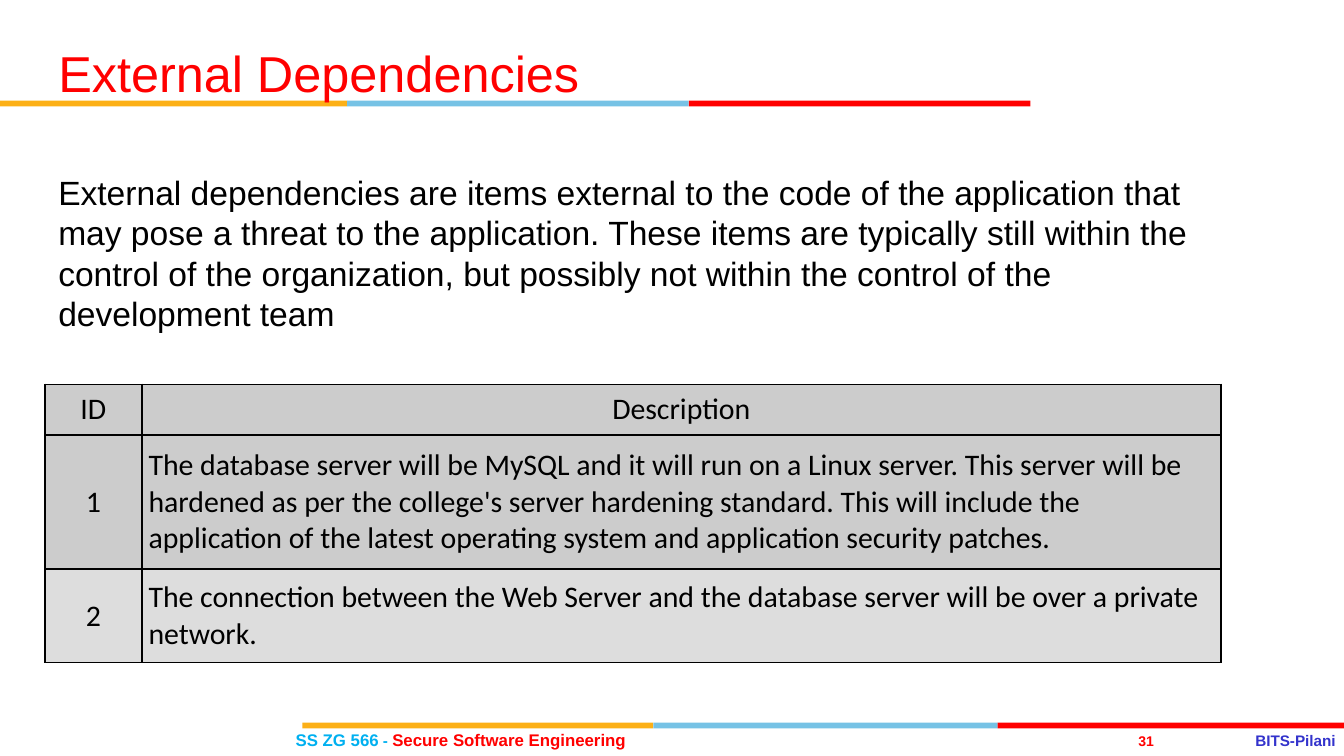
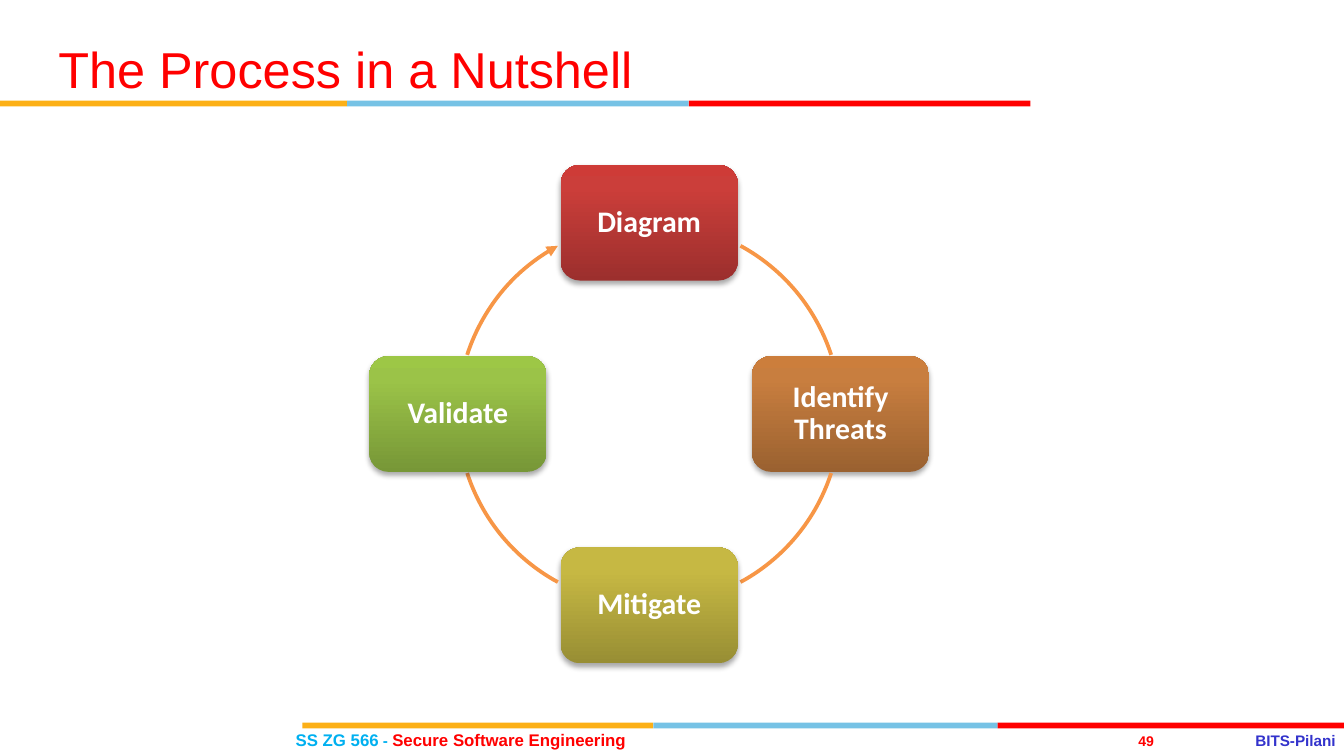
from copy import deepcopy

from lxml.etree import SubElement
from pptx import Presentation
from pptx.dml.color import RGBColor
from pptx.enum.shapes import MSO_SHAPE as SHAPE
from pptx.enum.text import MSO_ANCHOR as ANCHOR, MSO_AUTO_SIZE as AUTO, PP_ALIGN as ALIGN
from pptx.oxml.ns import qn
from pptx.util import Pt

GOLD, SKY, RED = "FCB017", "76C2E5", "FF0000"
BLACK, WHITE, ORANGE = "000000", "FFFFFF", "F79646"
HEADER_GREY, LIGHT_GREY = "CCCCCC", "DDDDDD"


# Shared helpers
def rgb(value):
    return RGBColor.from_string(value)


def pts(*values):
    return [Pt(v) for v in values]


def apply(target, values):
    for name, value in values.items():
        setattr(target, name, value)


def add_run(p, text, size, color, font="Arial", bold=False):
    r = p.add_run()
    r.text = text
    apply(r.font, {"size": Pt(size), "name": font, "bold": bold})
    r.font.color.rgb = rgb(color)


def format_frame(tf, anchor, margin_x=0, margin_y=0):
    apply(tf, {"word_wrap": True, "auto_size": AUTO.NONE, "vertical_anchor": anchor,
               "margin_left": Pt(margin_x), "margin_right": Pt(margin_x),
               "margin_top": Pt(margin_y), "margin_bottom": Pt(margin_y)})


def fill_placeholder(sp, box, text, size, color, anchor, spacing=None):
    left, top, width, height = pts(*box)
    apply(sp, {"left": left, "top": top, "width": width, "height": height})
    format_frame(sp.text_frame, anchor, 7.2, 3.6)
    p = sp.text_frame.paragraphs[0]
    pPr = p._p.get_or_add_pPr()
    pPr.set("marL", "0")
    pPr.set("indent", "0")
    SubElement(pPr, qn("a:buNone"))
    apply(p, {"alignment": ALIGN.LEFT, "space_before": Pt(0), "line_spacing": spacing})
    add_run(p, text, size, color)


# Frame common to all slides
def add_band(s, left, top, widths):
    band = s.shapes.add_group_shape()
    for width, color in zip(widths, (GOLD, SKY, RED)):
        sp = band.shapes.add_shape(SHAPE.RECTANGLE, *pts(left, top, width, 3))
        sp.shadow.inherit = False
        sp.fill.solid()
        sp.fill.fore_color.rgb = rgb(color)
        sp.line.fill.background()
        left += width


def add_label(s, box, runs, align):
    tf = s.shapes.add_textbox(*pts(*box)).text_frame
    format_frame(tf, ANCHOR.MIDDLE)
    p = tf.paragraphs[0]
    p.alignment = align
    for text, size, color in runs:
        add_run(p, text, size, color, bold=True)


def add_frame(s, title, title_top, number):
    add_band(s, 0, 54, (186, 183, 183))
    add_band(s, 162, 387.2, (188, 184.5, 185.5))
    course = [("SS ZG 566", 9, "00B0F0"), (" - ", 8.2, "00B0F0"),
              ("Secure Software Engineering", 9, RED)]
    add_label(s, (158.4, 391, 199, 11), course, ALIGN.LEFT)
    add_label(s, (605, 392.4, 18, 9.4), [(number, 7.5, RED)], ALIGN.CENTER)
    add_label(s, (672.5, 391.7, 46, 10), [("BITS-Pilani", 8.2, "3333CC")], ALIGN.JUSTIFY)

    # The title lies above the band
    sp = s.shapes.title
    fill_placeholder(sp, (24, title_top, 498, 57), title, 27, RED, ANCHOR.MIDDLE, Pt(27))
    sp.element.getparent().append(sp.element)


# Dependency table
def add_borders(cell):
    tcPr = cell._tc.get_or_add_tcPr()
    for side in ("lnL", "lnR", "lnT", "lnB"):
        ln = SubElement(tcPr, qn(f"a:{side}"), w=str(Pt(1)))
        SubElement(SubElement(ln, qn("a:solidFill")), qn("a:srgbClr"), val=BLACK)


def add_dependency_table(s, box, widths, heights, rows):
    table = s.shapes.add_table(len(rows), len(widths), *pts(*box)).table
    apply(table, {"first_row": False, "horz_banding": False})
    for column, width in zip(table.columns, widths):
        column.width = Pt(width)
    for i, (row, height, texts) in enumerate(zip(table.rows, heights, rows)):
        row.height = Pt(height)
        for j, (cell, text) in enumerate(zip(row.cells, texts)):
            add_borders(cell)
            cell.fill.solid()
            cell.fill.fore_color.rgb = rgb(LIGHT_GREY if i == 2 else HEADER_GREY)
            apply(cell, {"vertical_anchor": ANCHOR.MIDDLE,
                         "margin_left": Pt(3.6), "margin_right": Pt(3.6),
                         "margin_top": Pt(3.6), "margin_bottom": Pt(3.6)})
            p = cell.text_frame.paragraphs[0]
            p.alignment = ALIGN.CENTER if i == 0 or j == 0 else ALIGN.LEFT
            add_run(p, text, 16, BLACK, "Calibri")


# Process cycle
def add_soft_shadow(sp):
    sp.shadow.inherit = False
    effects = sp.element.spPr.find(qn("a:effectLst"))
    shadow = SubElement(effects, qn("a:outerShdw"), blurRad=str(Pt(3.1)), dist=str(Pt(1.8)),
                        dir="5400000", rotWithShape="0")
    color = SubElement(shadow, qn("a:srgbClr"), val=BLACK)
    SubElement(color, qn("a:alpha"), val="35000")


def fill_gradient(sp, colors):
    sp.fill.gradient()
    sp.fill.gradient_angle = 90
    stops = sp.element.spPr.find(".//" + qn("a:gsLst"))
    stops.append(deepcopy(stops[-1]))
    for stop, position, color in zip(sp.fill.gradient_stops, (0, 0.8, 1), colors):
        stop.position = position
        stop.color.rgb = rgb(color)


def add_step(shapes, center_x, center_y, text, colors, width=95, height=62):
    sp = shapes.add_shape(SHAPE.ROUNDED_RECTANGLE,
                          *pts(center_x - width / 2, center_y - height / 2, width, height))
    fill_gradient(sp, colors)
    sp.line.fill.background()
    add_soft_shadow(sp)
    format_frame(sp.text_frame, ANCHOR.MIDDLE, 8, 8)
    p = sp.text_frame.paragraphs[0]
    apply(p, {"alignment": ALIGN.CENTER, "line_spacing": 0.9})
    add_run(p, text, 16, WHITE, "Calibri", True)


def add_arc(shapes, box, start, end, arrow):
    sp = shapes.add_shape(SHAPE.ARC, *pts(*box))
    sp.shadow.inherit = False
    sp.fill.background()
    sp.adjustments[0], sp.adjustments[1] = start * 0.6, end * 0.6
    sp.line.color.rgb = rgb(ORANGE)
    sp.line.width = Pt(2)
    if arrow:
        SubElement(sp.line._get_or_add_ln(), qn("a:tailEnd"), type="triangle")


def add_cycle(s, box, steps):
    left, top, size, _ = box
    radius = size / 2
    shapes = s.shapes.add_group_shape().shapes
    near, far = 18, 61.5  # arc ends, in degrees from the horizontal axis
    arcs = [(360 - far, 360 - near), (near, far),
            (180 - far, 180 - near), (180 + near, 180 + far)]
    directions = [(0, -1), (1, 0), (0, 1), (-1, 0)]
    for (text, colors), (dx, dy), (start, end) in zip(steps, directions, arcs):
        add_step(shapes, left + radius * (1 + dx), top + radius * (1 + dy), text, colors)
        add_arc(shapes, box, start, end, arrow=text == steps[-1][0])


# Slides
def dependencies_slide(prs):
    s = prs.slides.add_slide(prs.slide_layouts[1])
    add_frame(s, "External Dependencies", 13, "31")
    fill_placeholder(
        s.placeholders[1], (24, 88.5, 648, 267),
        "External dependencies are items external to the code of the application that may pose "
        "a threat to the application. These items are typically still within the control of the "
        "organization, but possibly not within the control of the development team",
        18, BLACK, ANCHOR.TOP)
    rows = [
        ("ID", "Description"),
        ("1", "The database server will be MySQL and it will run on a Linux server. This server "
              "will be hardened as per the college's server hardening standard. This will include "
              "the application of the latest operating system and application security patches."),
        ("2", "The connection between the Web Server and the database server will be over a "
              "private network."),
    ]
    add_dependency_table(s, (24, 206, 630, 149), (52, 578), (27, 72, 50), rows)


def process_slide(prs):
    s = prs.slides.add_slide(prs.slide_layouts[5])
    add_frame(s, "The Process in a Nutshell", 10.8, "49")
    steps = [
        ("Diagram", ("9C2F2D", "CB3E3A", "CE3B37")),
        ("Identify Threats", ("9A6130", "C87E3F", "CC7E3C")),
        ("Mitigate", ("988E34", "C6B843", "C9BB41")),
        ("Validate", ("779737", "9BC348", "9DC746")),
    ]
    add_cycle(s, (245.3, 119.3, 205, 205), steps)


def main():
    prs = Presentation()
    apply(prs, {"slide_width": Pt(720), "slide_height": Pt(405)})
    dependencies_slide(prs)
    process_slide(prs)
    prs.save("out.pptx")


if __name__ == "__main__":
    main()
